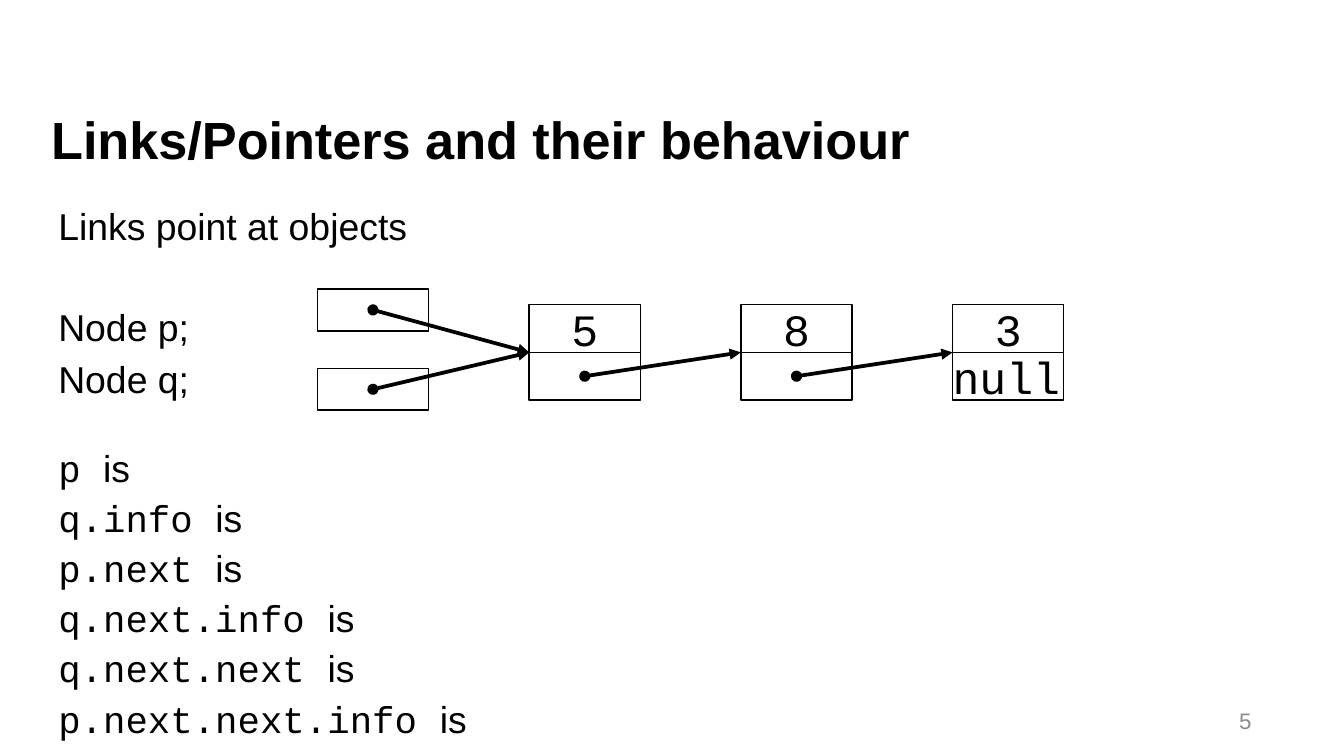
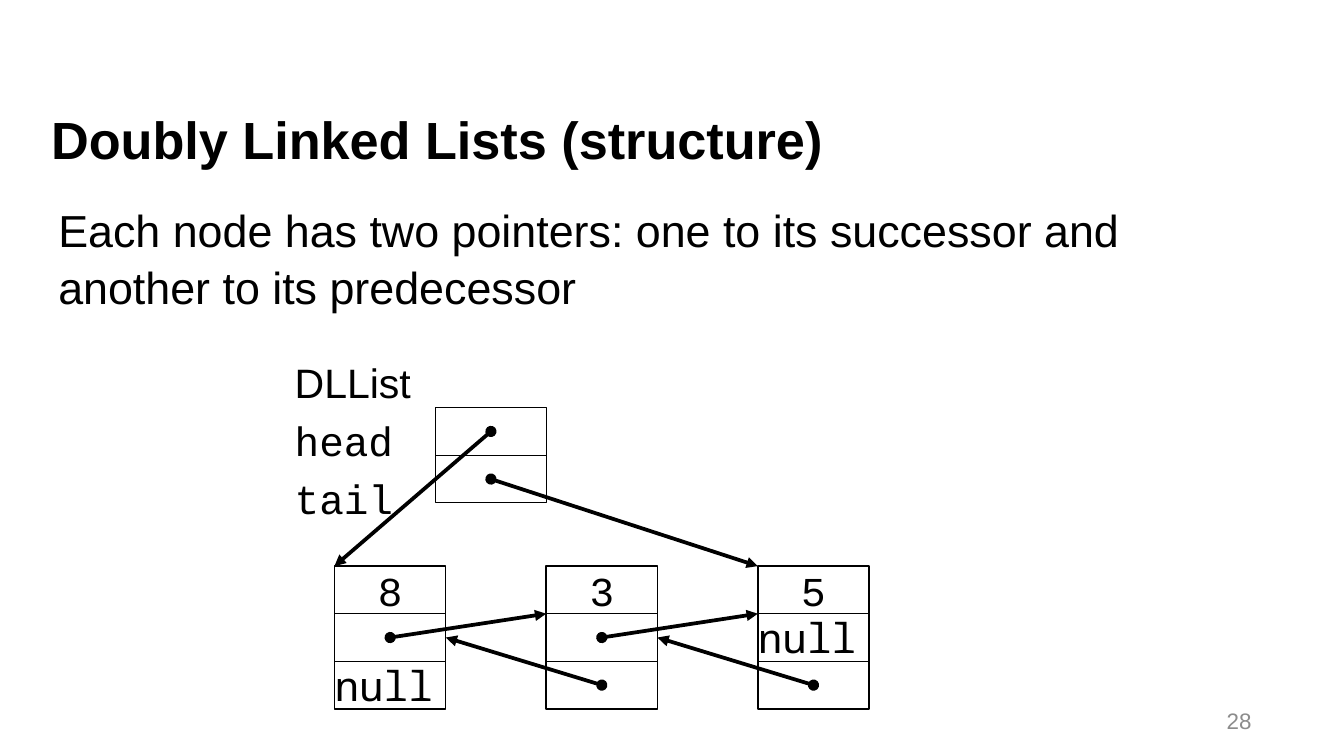
from lxml.etree import SubElement as Sub
from pptx import Presentation
from pptx.dml.color import RGBColor as RGB
from pptx.enum.shapes import MSO_CONNECTOR as Conn, MSO_SHAPE as Shape
from pptx.enum.text import MSO_ANCHOR as Anchor, PP_ALIGN as Align
from pptx.oxml.ns import qn
from pptx.util import Pt


class Theme:
    ink, gray = RGB(0, 0, 0), RGB(0x8C, 0x8C, 0x8C)
    sans, mono, alt = "Arial", "Courier New", "Noto Sans Mono"
    title, page, gap = 28, 12, 2.8
    thin, bold = 0, 2


# Content: a line of text is (space before, [(text, font), ...])
SANS, MONO = Theme.sans, Theme.mono
PATHS = ["p", "q.info", "p.next", "q.next.info", "q.next.next", "p.next.next.info"]
WIDE, TALL, STEP = 59.6, 25.5, 113.4

# A stack of cells is (left, top, cell height, cell texts).
# A link runs from the centre of (stack, row) to the (stack, row, end):
# "top" is the top left corner of that cell, "right" the middle of its right side.
SLIDES = [
    dict(
        title="Links/Pointers and their behaviour", page="5", size=20,
        body=[
            (2.8, [("Links point at objects", SANS)]),
            (30, [("Node p;", SANS)]),
            (4, [("Node q;", SANS)]),
        ] + [
            (2.9 if row else 23.5, [(name + " ", MONO), ("is", SANS)])
            for row, name in enumerate(PATHS)
        ],
        cell=24, font=MONO,
        stacks=dict(
            p=(170, 154.8, 22.5, [""]),
            q=(170, 197.3, 22.5, [""]),
            a=(283.5, 163.3, TALL, ["5", ""]),
            b=(283.5 + STEP, 163.3, TALL, ["8", ""]),
            c=(283.5 + 2 * STEP, 163.3, TALL, ["3", "null"]),
        ),
        links=[
            ("p", 0, "a", 1, "top"), ("q", 0, "a", 1, "top"),
            ("a", 1, "b", 1, "top"), ("b", 1, "c", 1, "top"),
        ],
    ),
    dict(
        title="Doubly Linked Lists (structure)", page="28", size=24,
        body=[
            (2, [("Each node has two pointers: one to its successor and", SANS)]),
            (1.5, [("another to its predecessor", SANS)]),
        ],
        label=[
            (2.8, [("DLList", SANS)]),
            (4.8, [("head", MONO)]),
            (4.8, [("tail", MONO)]),
        ],
        cell=22, font=Theme.alt,
        stacks=dict(
            list=(233.2, 218.4, TALL, ["", ""]),
            a=(179.2, 303.3, TALL, ["8", "", "null"]),
            b=(179.2 + STEP, 303.3, TALL, ["3", "", ""]),
            c=(179.2 + 2 * STEP, 303.3, TALL, ["5", "null", ""]),
        ),
        links=[
            ("list", 0, "a", 0, "top"), ("list", 1, "c", 0, "top"),
            ("a", 1, "b", 1, "top"), ("b", 1, "c", 1, "top"),
            ("b", 2, "a", 1, "right"), ("c", 2, "b", 1, "right"),
        ],
    ),
]


# Text
def style(run, size, font=SANS, color=Theme.ink, bold=False):
    run.font.size, run.font.name, run.font.bold = Pt(size), font, bold
    run.font.color.rgb = color


def bare(frame, anchor=Anchor.TOP, wrap=True):
    frame.margin_left = frame.margin_right = frame.margin_top = frame.margin_bottom = 0
    frame.vertical_anchor, frame.word_wrap = anchor, wrap


def write(slide, box, lines, size):
    frame = slide.shapes.add_textbox(*map(Pt, box)).text_frame
    bare(frame)
    for row, (gap, runs) in enumerate(lines):
        para = frame.add_paragraph() if row else frame.paragraphs[0]
        para.space_before = Pt(gap)
        for text, font in runs:
            run = para.add_run()
            run.text = text
            style(run, size, font)


def head(slide, text, page):
    title = slide.shapes.title
    title.left, title.top, title.width, title.height = map(Pt, (27.4, 57.6, 663, 51))
    bare(title.text_frame)
    title.text_frame.text = text
    para = title.text_frame.paragraphs[0]
    para.alignment, para.space_before = Align.LEFT, Pt(Theme.gap)
    style(para.runs[0], Theme.title, bold=True)

    frame = slide.shapes.add_textbox(*map(Pt, (515.5, 375.1, 162, 21.6))).text_frame
    frame.word_wrap, frame.vertical_anchor = True, Anchor.MIDDLE
    frame.text = page
    frame.paragraphs[0].alignment = Align.RIGHT
    style(frame.paragraphs[0].runs[0], Theme.page, color=Theme.gray)


# Diagram
def stack(slide, spec_, size, font):
    left, top, tall, texts = spec_
    cells = []
    for row, text in enumerate(texts):
        box = map(Pt, (left, top + row * tall, WIDE, tall))
        cell = slide.shapes.add_shape(Shape.RECTANGLE, *box)
        cell.shadow.inherit = False
        cell.fill.background()
        cell.line.color.rgb, cell.line.width = Theme.ink, Pt(Theme.thin)
        if text:
            bare(cell.text_frame, Anchor.MIDDLE, wrap=False)
            cell.text_frame.text = text
            para = cell.text_frame.paragraphs[0]
            para.space_before = Pt(Theme.gap)
            word = text == "null"
            para.alignment = Align.LEFT if word else Align.CENTER
            style(para.runs[0], size, font if word else MONO)
        cells.append(cell)
    return cells


def link(slide, start, goal, end):
    x, y = start.left + start.width // 2, start.top + start.height // 2
    line = slide.shapes.add_connector(Conn.STRAIGHT, x, y, goal.left, goal.top)
    if end == "right":
        line.end_connect(goal, 3)
    line.line.color.rgb, line.line.width = Theme.ink, Pt(Theme.bold)
    stroke = line.line._get_or_add_ln()
    Sub(stroke, qn("a:headEnd"), type="oval")
    Sub(stroke, qn("a:tailEnd"), type="triangle")
    Sub(line._element.spPr, qn("a:effectLst"))


def main():
    deck = Presentation()
    deck.slide_width, deck.slide_height = Pt(720), Pt(405)
    for data in SLIDES:
        slide = deck.slides.add_slide(deck.slide_layouts[5])
        head(slide, data["title"], data["page"])
        write(slide, (31.2, 108.8, 663, 259.2), data["body"], data["size"])
        if "label" in data:
            write(slide, (157.9, 191.5, 77.8, 80), data["label"], data["cell"])
        stacks = {
            name: stack(slide, plan, data["cell"], data["font"])
            for name, plan in data["stacks"].items()
        }
        for src, row, dst, goal, end in data["links"]:
            link(slide, stacks[src][row], stacks[dst][goal], end)
    deck.save("out.pptx")


if __name__ == "__main__":
    main()
